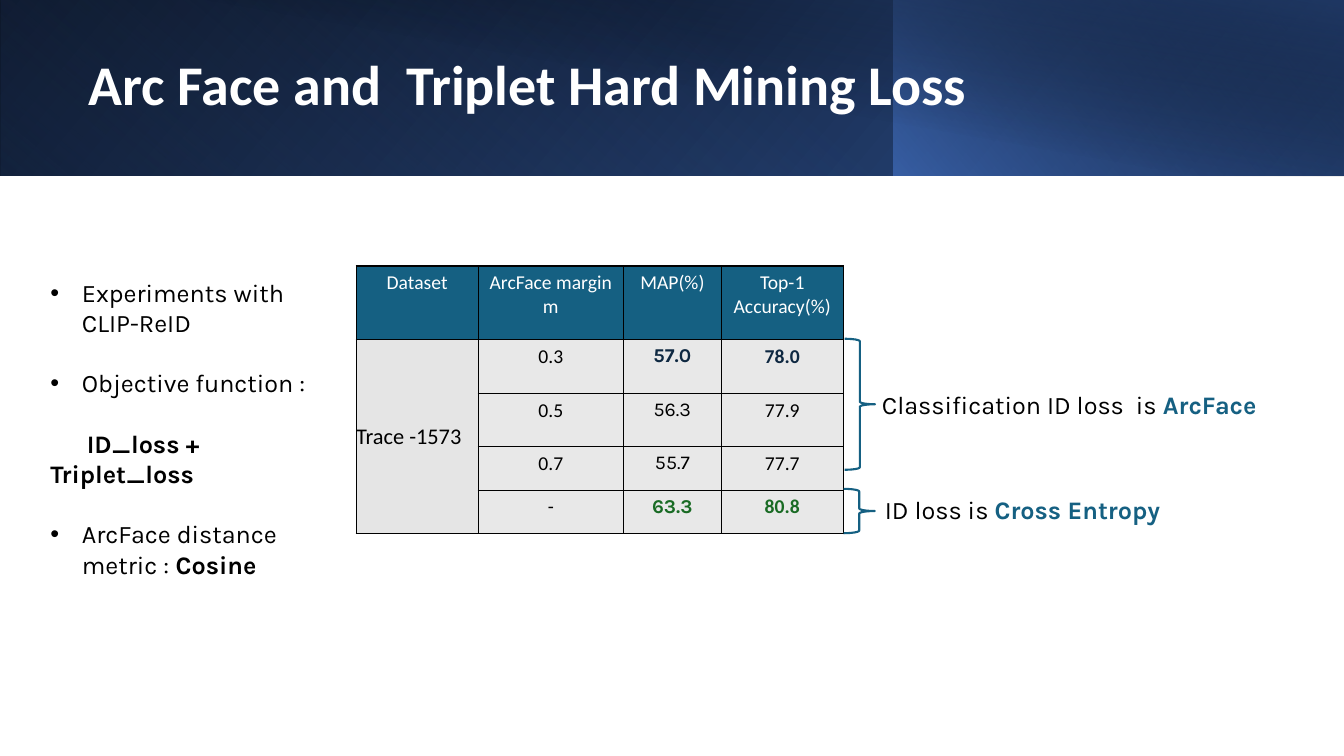
from dataclasses import dataclass
from pptx import Presentation
from pptx.dml.color import RGBColor
from pptx.enum.shapes import MSO_SHAPE
from pptx.enum.text import MSO_ANCHOR, MSO_AUTO_SIZE, PP_ALIGN
from pptx.oxml import parse_xml
from pptx.oxml.ns import nsdecls
from pptx.util import Pt


@dataclass(frozen=True)
class Theme:
    head: str = "Calibri"
    body: str = "Karla"
    black: str = "000000"
    white: str = "FFFFFF"
    teal: str = "156082"
    navy: str = "0E2841"
    green: str = "196B24"
    grey: str = "E8E8E8"
    pale: str = "E5E5E5"
    blue: str = "4472C4"
    deep: str = "1F3864"
    mid: str = "2F5496"
    title: int = 40
    text: int = 18
    group: int = 16
    cell: int = 14


T = Theme()


def style(font, name, size, color, bold=False):
    font.name, font.size, font.bold = name, Pt(size), bold
    font.color.rgb = RGBColor.from_string(color)


def place(shape, left, top, width, height):
    shape.left, shape.top = Pt(left), Pt(top)
    shape.width, shape.height = Pt(width), Pt(height)


def add_band(slide, box, angle, stops, flip=True, turn=0):
    """Gradient rectangle behind the title; stops are (position, colour, opacity)."""
    band = slide.shapes.add_shape(MSO_SHAPE.RECTANGLE, *map(Pt, box))
    band.shadow.inherit = False
    band.line.fill.background()
    band.rotation = turn
    props = band.element.spPr
    if flip:
        props.xfrm.set("flipH", "1")
    marks = "".join(
        f'<a:gs pos="{pos * 1000}"><a:srgbClr val="{color}">'
        f'<a:alpha val="{alpha * 1000}"/></a:srgbClr></a:gs>'
        for pos, color, alpha in stops)
    props.find("{*}prstGeom").addnext(parse_xml(
        f'<a:gradFill {nsdecls("a")} rotWithShape="1"><a:gsLst>{marks}</a:gsLst>'
        f'<a:lin ang="{angle * 60000}" scaled="0"/></a:gradFill>'))
    slide.shapes.title.element.addprevious(band.element)


def set_title(slide, text):
    title = slide.shapes.title
    place(title, 56, 31, 813, 63)
    frame = title.text_frame
    frame.text = text
    frame.vertical_anchor = MSO_ANCHOR.MIDDLE
    para = frame.paragraphs[0]
    para.alignment, para.line_spacing = PP_ALIGN.LEFT, 0.9
    style(para.font, T.head, T.title, T.white, True)


def add_runs(para, plain, strong, color):
    """Plain words followed by bold ones."""
    style(para.font, T.body, T.text, T.black)
    if plain:
        para.add_run().text = plain
    if strong:
        run = para.add_run()
        run.text = strong
        run.font.bold = True
        run.font.color.rgb = RGBColor.from_string(color)


def fill_list(body, items):
    place(body, 28.8, 194.4, 219.6, 247)
    frame = body.text_frame
    frame.word_wrap = True
    frame.auto_size = MSO_AUTO_SIZE.NONE
    frame.vertical_anchor = MSO_ANCHOR.TOP
    for i, (plain, strong, bullet) in enumerate(items):
        para = frame.paragraphs[0] if i == 0 else frame.add_paragraph()
        props = para._p.get_or_add_pPr()
        left, indent = (22.5, -22.5) if bullet else (0, 26)
        props.set("marL", str(Pt(left)))
        props.set("indent", str(Pt(indent)))
        marks = (f'<a:buFont {nsdecls("a")} typeface="Arial"/>',
                 f'<a:buChar {nsdecls("a")} char="•"/>')
        for mark in marks if bullet else (f'<a:buNone {nsdecls("a")}/>',):
            props.append(parse_xml(mark))
        para.line_spacing = 1.0
        para.space_before = Pt(21.5 if i else 0)
        add_runs(para, plain, strong, T.black)


def set_cell(cell, text, fill, name=T.head, size=T.cell, color=T.black,
             bold=False, align=PP_ALIGN.CENTER):
    props = cell._tc.get_or_add_tcPr()
    for side in "LRTB":
        props.append(parse_xml(
            f'<a:ln{side} {nsdecls("a")} w="{Pt(1)}"><a:solidFill>'
            f'<a:srgbClr val="{T.black}"/></a:solidFill></a:ln{side}>'))
    cell.fill.solid()
    cell.fill.fore_color.rgb = RGBColor.from_string(fill)
    cell.text = text
    para = cell.text_frame.paragraphs[0]
    para.alignment = align
    style(para.font, name, size, color, bold)


def add_scores(slide, heads, group, rows):
    """Score table; each row is (margin, MAP, accuracy, accent colour or None)."""
    widths, heights = (87.2, 103.7, 70, 87), (52.5, 38.5, 38, 31.2, 31.2)
    frame = slide.shapes.add_table(
        len(heights), len(widths), Pt(254.4), Pt(190),
        Pt(sum(widths)), Pt(sum(heights)))
    table = frame.table
    table.horz_banding = False
    for col, width in zip(table.columns, widths):
        col.width = Pt(width)
    for row, height in zip(table.rows, heights):
        row.height = Pt(height)
    for c, head in enumerate(heads):
        set_cell(table.cell(0, c), head, T.teal, color=T.white)
    for r, (margin, score, top, accent) in enumerate(rows, 1):
        look = {"color": accent or T.black, "bold": bool(accent)}
        set_cell(table.cell(r, 0), group if r == 1 else "", T.pale,
                 size=T.group, align=PP_ALIGN.LEFT)
        set_cell(table.cell(r, 1), margin, T.grey)
        set_cell(table.cell(r, 2), score, T.grey, name=T.body, **look)
        set_cell(table.cell(r, 3), top, T.grey, **look)
    # Dataset cell spans all score rows
    first = table.cell(1, 0)
    first.merge(table.cell(len(rows), 0))
    first.vertical_anchor = MSO_ANCHOR.MIDDLE
    first.margin_left = first.margin_right = 0
    first.margin_top = first.margin_bottom = 0


def add_brace(slide, *box):
    brace = slide.shapes.add_shape(MSO_SHAPE.RIGHT_BRACE, *map(Pt, box))
    brace.shadow.inherit = False
    brace.fill.background()
    brace.line.color.rgb = RGBColor.from_string(T.teal)
    brace.line.width = Pt(1.5)


def add_label(slide, box, plain, strong):
    frame = slide.shapes.add_textbox(*map(Pt, box)).text_frame
    frame.word_wrap = True
    add_runs(frame.paragraphs[0], plain, strong, T.teal)


def main():
    deck = Presentation()
    deck.slide_width, deck.slide_height = Pt(960), Pt(540)
    slide = deck.slides.add_slide(deck.slide_layouts[1])

    # Header band
    add_band(slide, (0, 0, 960, 125.5), 140, [(0, T.black, 100), (100, T.mid, 100)])
    add_band(slide, (0, 0, 639, 125.5), 230,
             [(0, T.blue, 0), (20, T.blue, 0), (100, T.deep, 54)], turn=180)
    add_band(slide, (638.6, 0, 321.4, 125.5), 220, [(0, T.blue, 65), (100, T.black, 29)])
    add_band(slide, (36, 0, 924, 126), 280,
             [(0, T.black, 0), (50, T.black, 0), (99, T.deep, 51), (100, T.deep, 51)],
             flip=False)
    set_title(slide, "Arc Face and  Triplet Hard Mining Loss")

    # Setup list
    fill_list(slide.placeholders[1], [
        ("Experiments with CLIP-ReID", "", True),
        ("Objective function :", "", True),
        ("", "ID_loss + Triplet_loss", False),
        ("ArcFace distance metric :", " Cosine", True)])

    # Scores
    add_scores(slide, ("Dataset", "ArcFace margin m", "MAP(%)", "Top-1 Accuracy(%)"),
               "Trace -1573", [
                   ("0.3", "57.0", "78.0", T.navy),
                   ("0.5", "56.3", "77.9", None),
                   ("0.7", "55.7", "77.7", None),
                   ("-", "63.3", "80.8", T.green)])

    # Braces and their labels
    add_brace(slide, 603.4, 242, 21.6, 93.6)
    add_label(slide, (622.8, 274.3, 301, 29), "Classification ID loss  is ", "ArcFace")
    add_brace(slide, 602.6, 349.2, 22.3, 31.7)
    add_label(slide, (625, 349.2, 233, 29), "ID loss is ", "Cross Entropy")

    deck.save("out.pptx")


if __name__ == "__main__":
    main()
